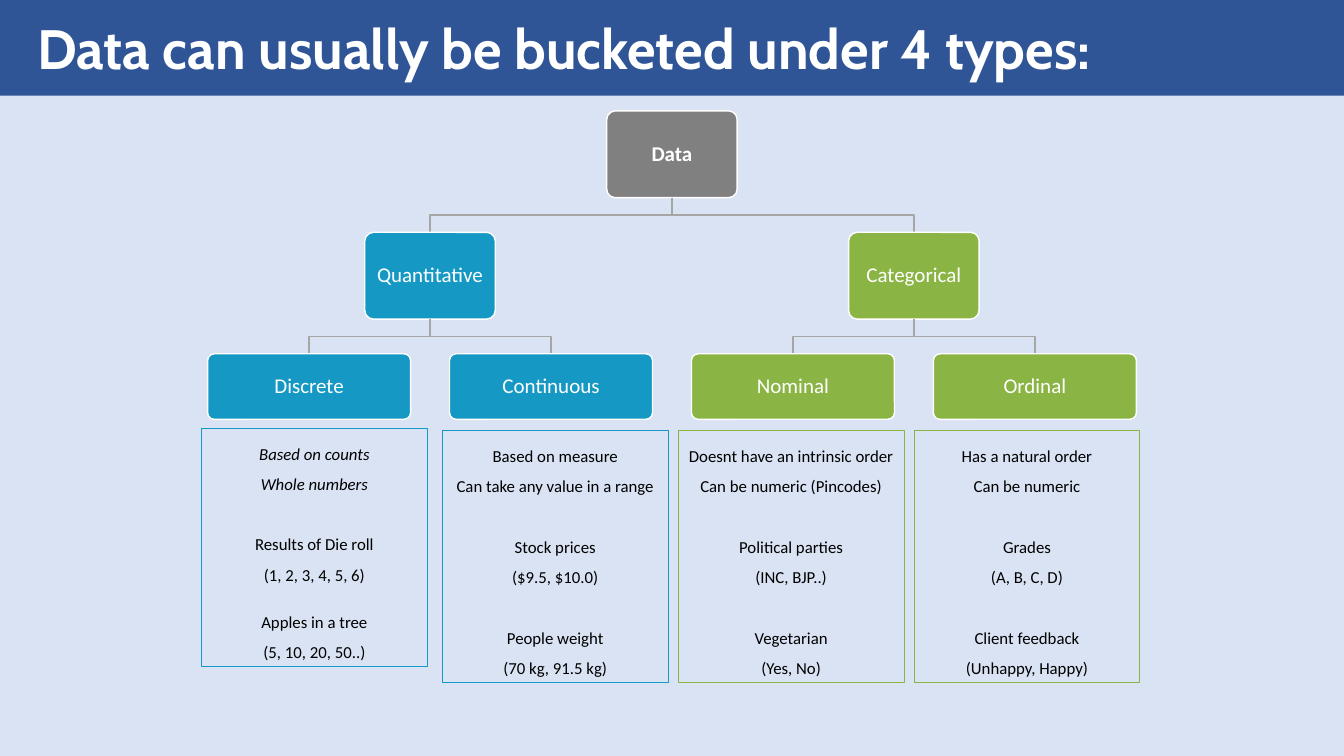
import pptx
import pptx.dml.color
import pptx.enum.shapes
import pptx.enum.text
import pptx.util

Pt = pptx.util.Pt
RGBColor = pptx.dml.color.RGBColor
Shape = pptx.enum.shapes.MSO_SHAPE
Align = pptx.enum.text.PP_ALIGN
Anchor = pptx.enum.text.MSO_ANCHOR
AutoSize = pptx.enum.text.MSO_AUTO_SIZE

WHITE = RGBColor(0xFF, 0xFF, 0xFF)
BLACK = RGBColor(0x00, 0x00, 0x00)
PALE_BLUE = RGBColor(0xDA, 0xE3, 0xF3)
NAVY = RGBColor(0x2F, 0x55, 0x97)
GREY = RGBColor(0x80, 0x80, 0x80)
LIGHT_GREY = RGBColor(0xA6, 0xA6, 0xA6)
BLUE = RGBColor(0x15, 0x99, 0xC4)
GREEN = RGBColor(0x8A, 0xB5, 0x45)

PAGE_WIDTH, PAGE_HEIGHT = 960, 540
NODE_HEIGHT, LEAF_HEIGHT = 62, 46.8
NODE_WIDTH, LEAF_WIDTH = 93.2, 145
LEVEL_STEP = 86.75
BRANCH_OFFSET, LEAF_OFFSET = 172.8, 86.4
BLANK_LINE = 21.6

BRANCHES = [
    ("Quantitative", BLUE, ["Discrete", "Continuous"]),
    ("Categorical", GREEN, ["Nominal", "Ordinal"]),
]
DETAILS = [
    (BLUE, (144, 306, 161.3, 170), True, 12, [
        ["Based on counts", "Whole numbers"],
        ["Results of Die roll", "(1, 2, 3, 4, 5, 6)"],
        ["Apples in a tree", "(5, 10, 20, 50..)"]]),
    (BLUE, (316, 307.8, 161.3, 179.5), False, BLANK_LINE, [
        ["Based on measure", "Can take any value in a range"],
        ["Stock prices", "($9.5, $10.0)"],
        ["People weight", "(70 kg, 91.5 kg)"]]),
    (GREEN, (484.5, 307.8, 161.3, 179.5), False, BLANK_LINE, [
        ["Doesnt have an intrinsic order", "Can be numeric (Pincodes)"],
        ["Political parties", "(INC, BJP..)"],
        ["Vegetarian", "(Yes, No)"]]),
    (GREEN, (653, 307.8, 161.3, 179.5), False, BLANK_LINE, [
        ["Has a natural order", "Can be numeric"],
        ["Grades", "(A, B, C, D)"],
        ["Client feedback", "(Unhappy, Happy)"]]),
]


def apply_format(target, values):
    for name, value in values.items():
        setattr(target, name, value)


def write(para, text, size, color, **values):
    span = para.add_run()
    span.text = text
    apply_format(span.font, {"name": "Calibri", "size": Pt(size), **values})
    span.font.color.rgb = color


def add_box(page, kind, area, fill, line, width):
    box = page.shapes.add_shape(kind, *map(Pt, area))
    box.shadow.inherit = False
    if fill is None:
        box.fill.background()
    else:
        box.fill.solid()
        box.fill.fore_color.rgb = fill
    if line is None:
        box.line.fill.background()
    else:
        box.line.color.rgb = line
        box.line.width = Pt(width)
    return box


def add_header(page, area):
    left, top, width, height = area
    band = add_box(page, Shape.RECTANGLE, area, NAVY, None, 0)
    title = page.shapes.title
    title._element.addprevious(band._element)
    apply_format(title, {"left": Pt(left + 19.4), "top": Pt(top + 8.6),
                         "width": Pt(width - 38.4), "height": Pt(height - 18)})
    apply_format(title.text_frame, {"vertical_anchor": Anchor.MIDDLE,
                                    "auto_size": AutoSize.NONE, "word_wrap": True})
    para = title.text_frame.paragraphs[0]
    para.alignment = Align.LEFT
    write(para, "Data can usually be bucketed under 4 types:", 39.6, WHITE,
          name="Cabin", bold=True)


def add_node(page, text, center, top, width, height, fill, bold=False):
    area = (center - width / 2, top, width, height)
    box = add_box(page, Shape.ROUNDED_RECTANGLE, area, fill, WHITE, 1)
    box.adjustments[0] = 0.1
    margins = {f"margin_{side}": Pt(4.3) for side in ("left", "top", "right", "bottom")}
    apply_format(box.text_frame, {"word_wrap": True, "vertical_anchor": Anchor.MIDDLE,
                                  **margins})
    para = box.text_frame.paragraphs[0]
    apply_format(para, {"alignment": Align.CENTER, "line_spacing": 0.9})
    write(para, text, 15, WHITE, bold=bold)


def add_elbow(page, start, top, end, bottom):
    middle = (top + bottom) / 2
    builder = page.shapes.build_freeform(Pt(start), Pt(top))
    corners = [(start, middle), (end, middle), (end, bottom)]
    builder.add_line_segments([(Pt(x), Pt(y)) for x, y in corners], close=False)
    elbow = builder.convert_to_shape()
    elbow.shadow.inherit = False
    elbow.fill.background()
    elbow.line.color.rgb = LIGHT_GREY
    elbow.line.width = Pt(1)


def add_tree(page, center, top):
    branch_top, leaf_top = top + LEVEL_STEP, top + 2 * LEVEL_STEP
    add_node(page, "Data", center, top, NODE_WIDTH, NODE_HEIGHT, GREY, bold=True)
    for branch_side, (branch, color, leaves) in zip((-1, 1), BRANCHES):
        branch_center = center + branch_side * BRANCH_OFFSET
        add_elbow(page, center, top + NODE_HEIGHT, branch_center, branch_top)
        add_node(page, branch, branch_center, branch_top, NODE_WIDTH, NODE_HEIGHT, color)
        for leaf_side, leaf in zip((-1, 1), leaves):
            leaf_center = branch_center + leaf_side * LEAF_OFFSET
            add_elbow(page, branch_center, branch_top + NODE_HEIGHT, leaf_center, leaf_top)
            add_node(page, leaf, leaf_center, leaf_top, LEAF_WIDTH, LEAF_HEIGHT, color)


def add_detail(page, area, color, italic_intro, last_gap, groups):
    box = add_box(page, Shape.RECTANGLE, area, None, color, 0.75)
    frame = box.text_frame
    apply_format(frame, {"word_wrap": True, "vertical_anchor": Anchor.TOP,
                         "margin_left": Pt(3.6), "margin_right": Pt(3.6)})
    for group_index, (gap, lines) in enumerate(zip((0, BLANK_LINE, last_gap), groups)):
        for line_index, text in enumerate(lines):
            first = group_index == line_index == 0
            para = frame.paragraphs[0] if first else frame.add_paragraph()
            apply_format(para, {"alignment": Align.CENTER, "line_spacing": 1.5})
            if gap and line_index == 0:
                para.space_before = Pt(gap)
            write(para, text, 12, BLACK, italic=italic_intro and group_index == 0)


def main():
    deck = pptx.Presentation()
    apply_format(deck, {"slide_width": Pt(PAGE_WIDTH), "slide_height": Pt(PAGE_HEIGHT)})
    page = deck.slides.add_slide(deck.slide_layouts.get_by_name("Title Only"))
    page.background.fill.solid()
    page.background.fill.fore_color.rgb = PALE_BLUE
    add_header(page, (0, 0, PAGE_WIDTH, 68.4))
    add_tree(page, PAGE_WIDTH / 2, 79.2)
    for color, area, italic_intro, last_gap, groups in DETAILS:
        add_detail(page, area, color, italic_intro, last_gap, groups)
    deck.save("out.pptx")


if __name__ == "__main__":
    main()
